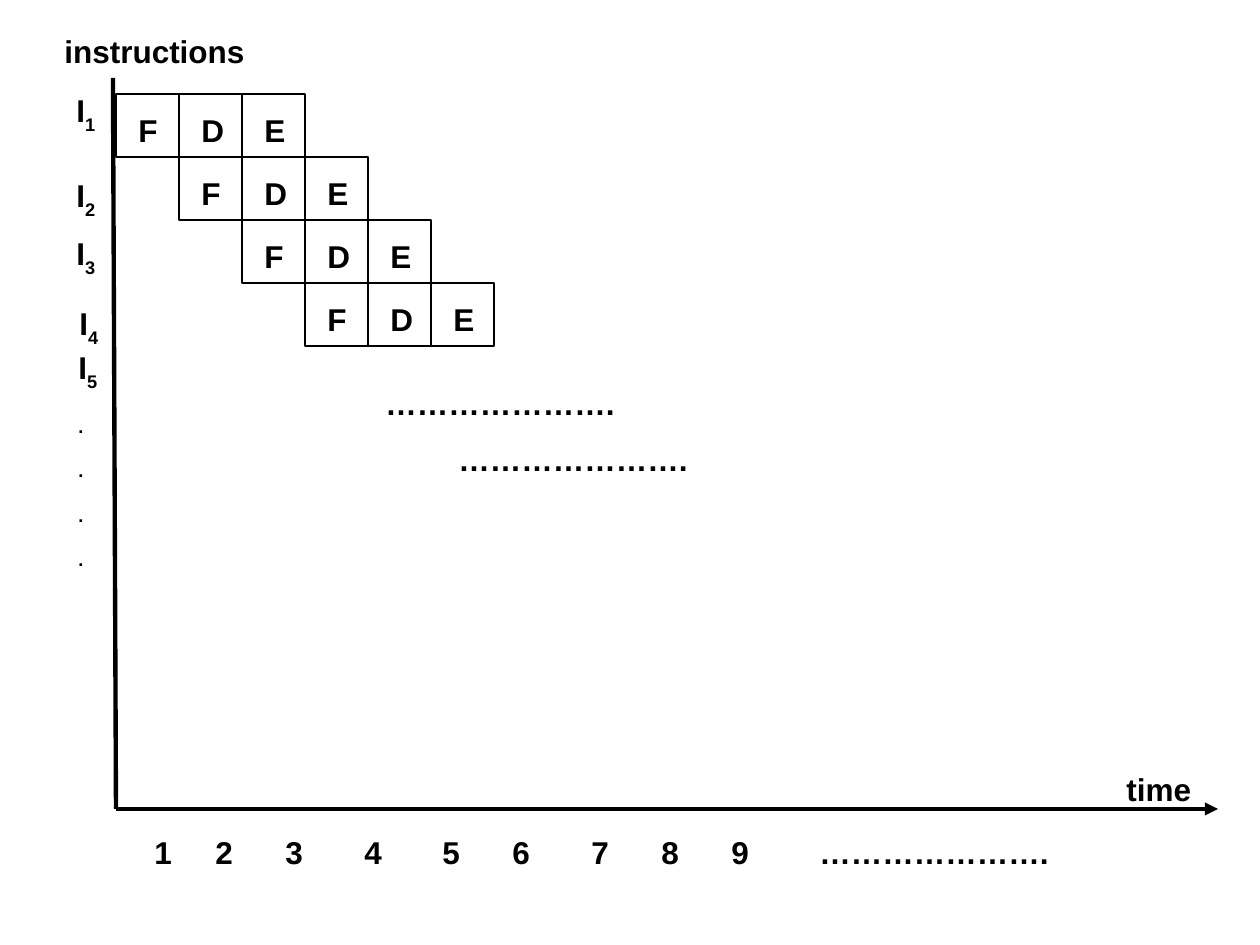
import dataclasses

import lxml.etree
import pptx
import pptx.dml.color
import pptx.enum.shapes
import pptx.enum.text
import pptx.oxml.ns
import pptx.util


@dataclasses.dataclass(frozen=True)
class Theme:
    ink: pptx.dml.color.RGBColor = pptx.dml.color.RGBColor(0, 0, 0)
    font: str = "Arial"
    text_size: int = 18
    cell_line: float = 0.75
    axis_line: float = 2.5


theme = Theme()
anchors = pptx.enum.text.MSO_ANCHOR


def px(length):
    return pptx.util.Emu(round(length * 914400 / 126))


def add_text(text, left, top, width, height=50, subscripts=(), anchor=anchors.TOP, wrap=False, tabs=()):
    box = slide.shapes.add_textbox(px(left), px(top), px(width), px(height))
    frame = box.text_frame
    frame.word_wrap = wrap
    frame.auto_size = pptx.enum.text.MSO_AUTO_SIZE.SHAPE_TO_FIT_TEXT
    frame.vertical_anchor = anchor
    paragraph = frame.paragraphs[0]
    pieces = [(text, False)] + [(piece, True) for piece in subscripts]
    for number, (piece, lowered) in enumerate(pieces):
        if number > 1:
            paragraph = frame.add_paragraph()
        run = paragraph.add_run()
        run.text = piece
        run.font.name = theme.font
        run.font.size = pptx.util.Pt(theme.text_size)
        run.font.bold = True
        run.font.color.rgb = theme.ink
        if lowered:
            run._r.get_or_add_rPr().set("baseline", "-30000")
    if tabs:
        properties = frame.paragraphs[0]._p.get_or_add_pPr()
        tab_list = lxml.etree.SubElement(properties, pptx.oxml.ns.qn("a:tabLst"))
        for position in tabs:
            lxml.etree.SubElement(tab_list, pptx.oxml.ns.qn("a:tab"), pos=str(px(position)), algn="l")


presentation = pptx.Presentation()
presentation.slide_width = px(1260)
presentation.slide_height = px(945)
slide = presentation.slides.add_slide(presentation.slide_layouts[6])

origin_x, origin_y = 116, 809
for end_x, end_y, arrow in [(113, 78, False), (1218, origin_y, True)]:
    axis = slide.shapes.add_connector(
        pptx.enum.shapes.MSO_CONNECTOR.STRAIGHT, px(origin_x), px(origin_y), px(end_x), px(end_y)
    )
    axis.line.color.rgb = theme.ink
    axis.line.width = pptx.util.Pt(theme.axis_line)
    if arrow:
        lxml.etree.SubElement(axis.line._get_or_add_ln(), pptx.oxml.ns.qn("a:tailEnd"), type="triangle")
    lxml.etree.SubElement(axis._element.spPr, pptx.oxml.ns.qn("a:effectLst"))

add_text("instructions", 52, 26, 205)
add_text("time", 1114, 764, 90)

cell = 63
stages = [("F", 44), ("D", 48), ("E", 45)]
for row in range(4):
    for column, (stage, width) in enumerate(stages):
        left = origin_x + (row + column) * cell
        top = 94 + row * cell
        shape = slide.shapes.add_shape(
            pptx.enum.shapes.MSO_SHAPE.RECTANGLE, px(left), px(top), px(cell), px(cell)
        )
        shape.shadow.inherit = False
        shape.fill.background()
        shape.line.color.rgb = theme.ink
        shape.line.width = pptx.util.Pt(theme.cell_line)
        add_text(stage, left + 10, top + 11, width)

labels = [("1", 64, 84, 53), ("2", 64, 169, 53), ("3", 64, 227, 53), ("4", 67, 297, 44)]
for number, left, top, width in labels:
    add_text("I", left, top, width, height=58, subscripts=[number], anchor=anchors.MIDDLE)
add_text("I", 66, 341, 44, height=236, subscripts=["5", ".", ".", ".", "."], anchor=anchors.MIDDLE)

dots = "…………………."
for left, top in [(373, 378), (446, 434)]:
    add_text(dots, left, top, 255)

ticks = [str(number) for number in range(1, 10)] + [dots]
add_text("\t".join(ticks), 142, 827, 989, wrap=True, tabs=[61, 131, 210, 288, 358, 437, 507, 577, 665])

presentation.save("out.pptx")
